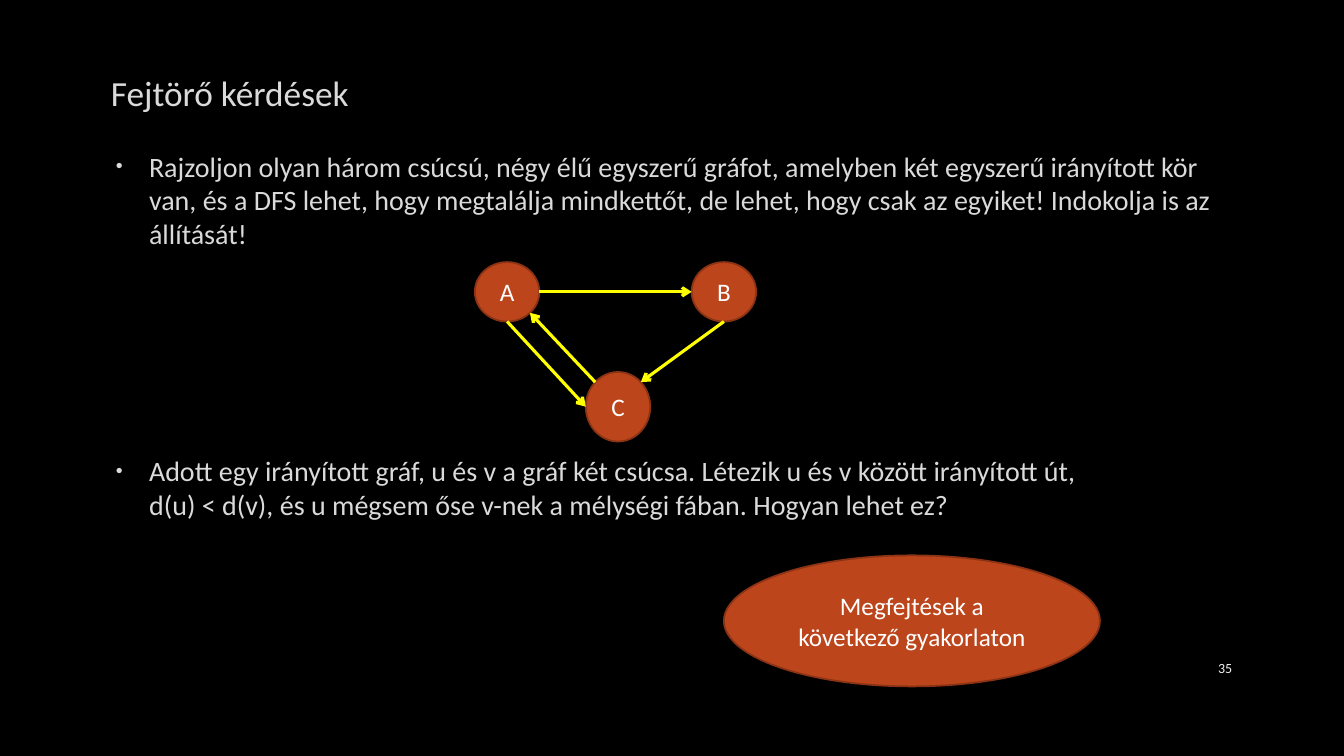
import math
from dataclasses import dataclass

from lxml import etree
from pptx import Presentation
from pptx import util as u
from pptx.dml.color import RGBColor
from pptx.enum import shapes, text
from pptx.oxml import ns


@dataclass(frozen=True)
class Theme:
    font: str = "Calibri"
    back: str = "000000"
    ink: str = "DADADA"
    number: str = "F2F2F2"
    fill: str = "BC451B"
    rim: str = "8B3314"
    label: str = "FFFFFF"
    edge: str = "FFFF00"
    title_pt: float = 25.2
    body_pt: float = 20
    label_pt: float = 18
    number_pt: float = 10
    rim_pt: float = 1.25
    edge_pt: float = 2.25


T = Theme()
ALIGN = text.PP_ALIGN
MIDDLE = text.MSO_ANCHOR.MIDDLE


def rgb(color):
    return RGBColor.from_string(color)


def inches(*lengths):
    return [u.Inches(n) for n in lengths]


def format_text(tf, size, color, align, anchor):
    tf.word_wrap = True
    tf.auto_size = text.MSO_AUTO_SIZE.NONE
    tf.vertical_anchor = anchor
    for p in tf.paragraphs:
        p.alignment = align
        for r in p.runs:
            r.font.name = T.font
            r.font.size = u.Pt(size)
            r.font.color.rgb = rgb(color)


def add_title(s, box, words):
    sp = s.shapes.title
    sp.left, sp.top, sp.width, sp.height = inches(*box)
    sp.text_frame.text = words
    format_text(sp.text_frame, T.title_pt, T.ink, ALIGN.LEFT, MIDDLE)


def add_bullet(p):
    pPr = p._p.get_or_add_pPr()
    pPr.set("marL", str(u.Inches(0.38)))
    pPr.set("indent", str(u.Inches(-0.33)))
    color = etree.SubElement(pPr, ns.qn("a:buClr"))
    etree.SubElement(color, ns.qn("a:srgbClr"), val=T.ink)
    etree.SubElement(pPr, ns.qn("a:buSzPct"), val="70000")
    etree.SubElement(pPr, ns.qn("a:buFont"), typeface="Arial")
    etree.SubElement(pPr, ns.qn("a:buChar"), char="•")


def add_questions(s, box, questions, gap):
    tf = s.shapes.add_textbox(*inches(*box)).text_frame
    for i, question in enumerate(questions):
        p = tf.add_paragraph() if i else tf.paragraphs[0]
        p.text = question
        p.space_before = u.Pt(gap if i else 0)
        p.space_after = u.Pt(6)
        add_bullet(p)
    format_text(tf, T.body_pt, T.ink, ALIGN.LEFT, text.MSO_ANCHOR.TOP)


def add_number(s, box, number):
    tf = s.shapes.add_textbox(*inches(*box)).text_frame
    tf.text = number
    format_text(tf, T.number_pt, T.number, ALIGN.RIGHT, MIDDLE)


def add_ellipse(s, box, words):
    sp = s.shapes.add_shape(shapes.MSO_SHAPE.OVAL, *inches(*box))
    sp.shadow.inherit = False
    sp.fill.solid()
    sp.fill.fore_color.rgb = rgb(T.fill)
    sp.line.color.rgb = rgb(T.rim)
    sp.line.width = u.Pt(T.rim_pt)
    sp.text_frame.text = words
    format_text(sp.text_frame, T.label_pt, T.label, ALIGN.CENTER, MIDDLE)
    return sp


def rim_point(sp, degrees):
    a = math.radians(degrees)
    return (round(sp.left + sp.width / 2 * (1 + math.cos(a))),
            round(sp.top + sp.height / 2 * (1 - math.sin(a))))


def add_edge(s, start, end):
    line = s.shapes.add_connector(shapes.MSO_CONNECTOR.STRAIGHT, *start, *end)
    line.line.color.rgb = rgb(T.edge)
    line.line.width = u.Pt(T.edge_pt)
    etree.SubElement(line.line._get_or_add_ln(), ns.qn("a:tailEnd"), type="arrow")
    etree.SubElement(line._element.spPr, ns.qn("a:effectLst"))


def add_graph(s, box):
    x, y, w, h = box
    node_w, node_h, c_h = 0.64, 0.59, 0.69
    nodes = {
        "A": (x, y, node_w, node_h),
        "B": (x + w - node_w, y, node_w, node_h),
        "C": (x + 1.1, y + h - c_h, node_w, c_h),
    }
    ovals = {name: add_ellipse(s, place, name) for name, place in nodes.items()}
    edges = [("A", 0, "B", 180), ("B", 270, "C", 45),
             ("C", 135, "A", 315), ("A", 270, "C", 180)]
    for tail, leave, head, arrive in edges:
        add_edge(s, rim_point(ovals[tail], leave), rim_point(ovals[head], arrive))


def main():
    prs = Presentation()
    prs.slide_width, prs.slide_height = inches(13.33, 7.5)
    s = prs.slides.add_slide(prs.slide_layouts[5])
    s.background.fill.solid()
    s.background.fill.fore_color.rgb = rgb(T.back)

    add_title(s, (1, 0.67, 11.32, 0.5), "Fejtörő kérdések")
    add_questions(s, (1, 1.43, 11.32, 5.11), [
        "Rajzoljon olyan három csúcsú, négy élű egyszerű gráfot, amelyben két "
        "egyszerű irányított kör van, és a DFS lehet, hogy megtalálja mindkettőt, "
        "de lehet, hogy csak az egyiket! Indokolja is az állítását!",
        "Adott egy irányított gráf, u és v a gráf két csúcsa. Létezik u és v között "
        "irányított út, \vd(u) < d(v), és u mégsem őse v-nek a mélységi fában. "
        "Hogyan lehet ez?",
    ], gap=139.6)
    add_number(s, (11.5, 6.43, 0.82, 0.4), "35")
    add_graph(s, (4.71, 2.6, 2.79, 1.78))
    add_ellipse(s, (7.18, 5.51, 3.73, 1.3), "Megfejtések a következő gyakorlaton")
    prs.save("out.pptx")


if __name__ == "__main__":
    main()
